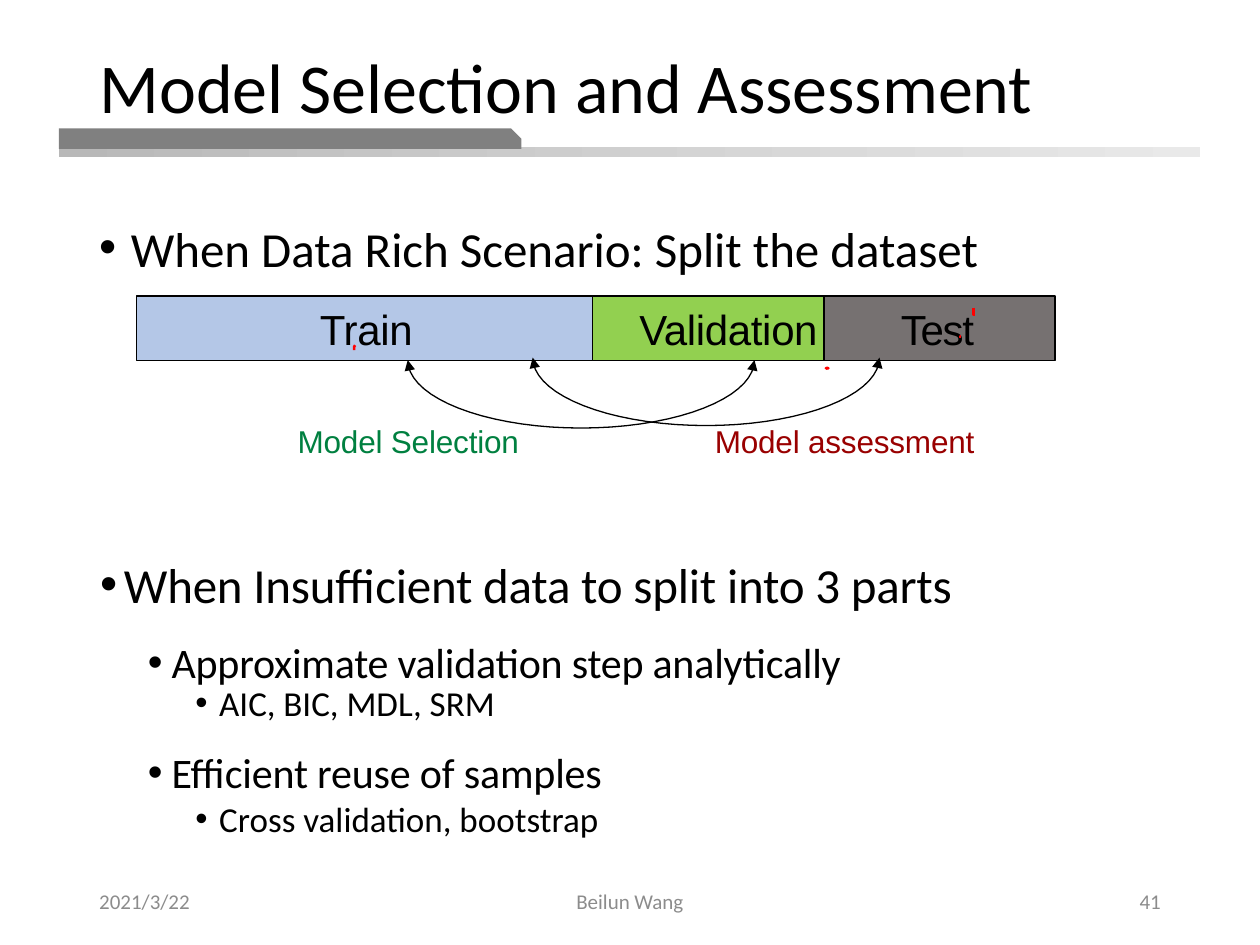
import math
from pptx import Presentation
from pptx.dml.color import RGBColor
from pptx.enum.shapes import MSO_SHAPE
from pptx.enum.text import MSO_ANCHOR, PP_ALIGN
from pptx.oxml.ns import qn
from pptx.util import Cm, Pt
from lxml import etree

RECT, SNIP = MSO_SHAPE.RECTANGLE, MSO_SHAPE.SNIP_1_RECTANGLE
TOP, MIDDLE = MSO_ANCHOR.TOP, MSO_ANCHOR.MIDDLE
LEFT, CENTER, RIGHT = PP_ALIGN.LEFT, PP_ALIGN.CENTER, PP_ALIGN.RIGHT

THEME = {
    "body": "Calibri", "diagram": "Arial",
    "ink": "000000", "muted": "8C8C8C", "mark": "FF0000",
    "accent": "808080", "fade": ("B8B8B8", "E9E9E9"),
    "title_size": 40, "level_sizes": (28, 24, 20),
    "segment_size": 24, "caption_size": 18, "footer_size": 12,
}

TITLE = "Model Selection and Assessment"
# level, text, left margin cm, hanging cm, line spacing, space before pt, letter spacing pt
BULLETS = [
    (0, "When Data Rich Scenario: Split the dataset", 0.64, 0.64, 0.8, 10, 0),
    (0, "When Insufficient data to split into 3 parts", 0.5, 0.48, Pt(42.2), 150, -0.1),
    (1, "Approximate validation step analytically", 1.46, 0.48, Pt(37.4), 5, -0.15),
    (2, "AIC, BIC, MDL, SRM", 2.42, 0.48, Pt(20.4), 0.6, 0),
    (1, "Efficient reuse of samples", 1.46, 0.48, Pt(37.1), 5, -0.1),
    (2, "Cross validation, bootstrap", 2.42, 0.48, 1.0, 0.3, 0),
]
SEGMENTS = [
    ("Train", 9.2, 3.7, "B4C7E7", -0.2),
    ("Validation", 4.66, 0.94, "92D050", -0.2),
    ("Test", 4.66, 1.55, "767171", -0.7),
]
CAPTIONS = [
    ("Model Selection", 5.97, 4.6, "008040"),
    ("Model assessment", 14.38, 5.36, "990000"),
]
ARCS = [(8.22, 7.26), (10.74, 7.21)]
ARC_WIDTH, ARC_DEPTH, ARC_STEPS = 6.99, 1.37, 36
MARKS = [
    [(7.14, 7.06), (7.14, 6.99), (7.16, 6.96)],
    [(19.35, 6.81), (19.35, 6.78), (19.38, 6.78)],
    [(16.64, 7.44), (16.66, 7.42), (16.69, 7.42), (16.71, 7.44)],
    [(19.63, 6.2), (19.63, 6.35), (19.66, 6.35)],
]
FOOTERS = [
    ("2021/3/22", 1.75, 5.72, LEFT),
    ("Beilun Wang", 8.41, 8.58, CENTER),
    ("41", 17.93, 5.72, RIGHT),
]


def color(code):
    return RGBColor.from_string(code)


def add_span(para, text, size, code, font, spacing=0):
    span = para.add_run()
    span.text = text
    span.font.name = font
    span.font.size = Pt(size)
    span.font.color.rgb = color(code)
    if spacing:
        span._r.get_or_add_rPr().set("spc", str(round(spacing * 100)))


def set_frame(frame, anchor, margins=None, wrap=True):
    frame.word_wrap = wrap
    frame.vertical_anchor = anchor
    if margins:
        frame.margin_left, frame.margin_top = Cm(margins[0]), Cm(margins[1])
        frame.margin_right = frame.margin_bottom = 0


def add_box(page, left, top, width, height, anchor, margins=None):
    box = page.shapes.add_textbox(Cm(left), Cm(top), Cm(width), Cm(height))
    set_frame(box.text_frame, anchor, margins)
    return box.text_frame


def add_block(page, kind, left, top, width, height):
    block = page.shapes.add_shape(kind, Cm(left), Cm(top), Cm(width), Cm(height))
    block.shadow.inherit = False
    block.line.fill.background()
    return block


def add_stroke(page, points, code, weight, arrows=False):
    start, *rest = [(Cm(x), Cm(y)) for x, y in points]
    builder = page.shapes.build_freeform(*start)
    builder.add_line_segments(rest, close=False)
    stroke = builder.convert_to_shape()
    stroke.shadow.inherit = False
    stroke.fill.background()
    stroke.line.color.rgb = color(code)
    stroke.line.width = Pt(weight)
    if arrows:
        for end in ("a:headEnd", "a:tailEnd"):
            etree.SubElement(stroke.line._ln, qn(end), type="triangle")


def add_header(page):
    band = add_block(page, RECT, 1.19, 2.97, 23.01, 0.2)
    band.fill.gradient()
    band.fill.gradient_angle = 0
    for stop, code in zip(band.fill.gradient_stops, THEME["fade"]):
        stop.color.rgb = color(code)
    tab = add_block(page, SNIP, 1.19, 2.59, 9.32, 0.41)
    tab.adjustments[0] = 0.5
    tab.fill.solid()
    tab.fill.fore_color.rgb = color(THEME["accent"])

    title = page.shapes.title
    title.left, title.top, title.width, title.height = Cm(1.75), Cm(1.02), Cm(21.29), Cm(1.63)
    set_frame(title.text_frame, MIDDLE)
    para = title.text_frame.paragraphs[0]
    para.alignment, para.line_spacing = LEFT, 0.9
    add_span(para, TITLE, THEME["title_size"], THEME["ink"], THEME["body"])


def add_bullets(page):
    frame = add_box(page, 1.75, 4.5, 21.89, 12.67, TOP)
    for index, (level, text, margin, hanging, line, before, spacing) in enumerate(BULLETS):
        para = frame.add_paragraph() if index else frame.paragraphs[0]
        para.level = level
        para.line_spacing, para.space_before = line, Pt(before)
        props = para._p.get_or_add_pPr()
        props.set("marL", str(Cm(margin)))
        props.set("indent", str(-Cm(hanging)))
        etree.SubElement(props, qn("a:buFont"), typeface="Arial")
        etree.SubElement(props, qn("a:buChar"), char="•")
        add_span(para, text, THEME["level_sizes"][level], THEME["ink"], THEME["body"], spacing)


def add_diagram(page):
    left = 2.75
    for text, width, inset, fill, spacing in SEGMENTS:
        block = add_block(page, RECT, left, 5.97, width, 1.3)
        block.fill.solid()
        block.fill.fore_color.rgb = color(fill)
        block.line.color.rgb = color(THEME["ink"])
        block.line.width = Pt(0.75)
        set_frame(block.text_frame, MIDDLE, (inset, 0), wrap=False)
        para = block.text_frame.paragraphs[0]
        para.alignment = LEFT
        add_span(para, text, THEME["segment_size"], THEME["ink"], THEME["diagram"], spacing)
        left += width

    radius = ARC_WIDTH / 2
    angles = [math.pi * step / ARC_STEPS for step in range(ARC_STEPS + 1)]
    for left, top in ARCS:
        points = [(left + radius * (1 - math.cos(angle)), top + ARC_DEPTH * math.sin(angle))
                  for angle in angles]
        add_stroke(page, points, THEME["ink"], 0.75, arrows=True)

    for text, left, width, code in CAPTIONS:
        frame = add_box(page, left, 8.48, width, 0.84, TOP, (0.03, 0.03))
        para = frame.paragraphs[0]
        para.space_before = Pt(1)
        add_span(para, text, THEME["caption_size"], code, THEME["diagram"], -0.1)
    for points in MARKS:
        add_stroke(page, points, THEME["mark"], 1.5)


def add_footers(page):
    for text, left, width, alignment in FOOTERS:
        para = add_box(page, left, 17.65, width, 1.02, MIDDLE).paragraphs[0]
        para.alignment = alignment
        add_span(para, text, THEME["footer_size"], THEME["muted"], THEME["body"])


def main():
    deck = Presentation()
    deck.slide_width, deck.slide_height = Cm(25.4), Cm(19.05)
    page = deck.slides.add_slide(deck.slide_layouts[5])
    add_header(page)
    add_bullets(page)
    add_diagram(page)
    add_footers(page)
    deck.save("out.pptx")


if __name__ == "__main__":
    main()
